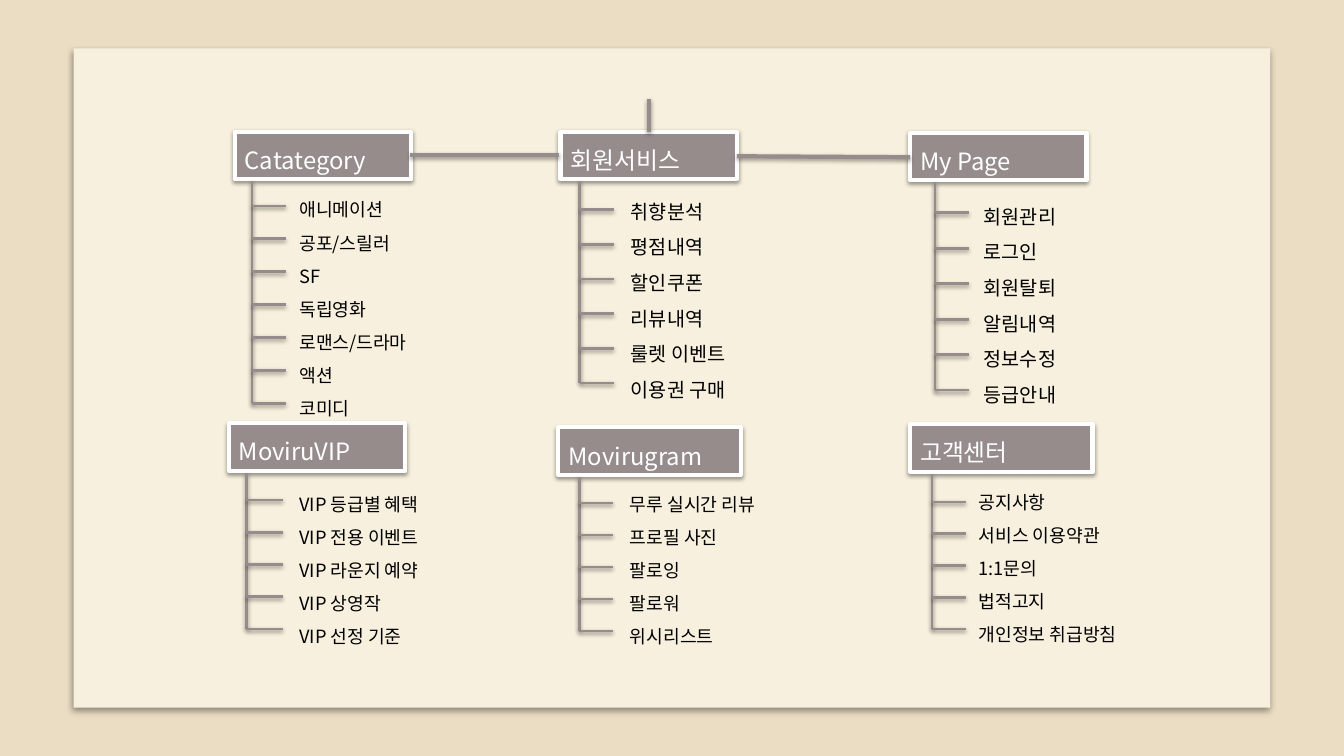
from lxml import etree
from pptx import Presentation
from pptx.dml.color import RGBColor
from pptx.enum.shapes import MSO_CONNECTOR, MSO_SHAPE
from pptx.enum.text import MSO_ANCHOR, PP_ALIGN
from pptx.oxml.ns import qn
from pptx.util import Emu, Inches, Pt

RECT, STRAIGHT = MSO_SHAPE.RECTANGLE, MSO_CONNECTOR.STRAIGHT
TOP, BOTTOM, LEFT = MSO_ANCHOR.TOP, MSO_ANCHOR.BOTTOM, PP_ALIGN.LEFT

WIDTH, HEIGHT = Inches(13.33), Inches(7.5)
COLS, ROWS = 40, 22.5
SAND, CREAM, TAUPE, WHITE, BLACK = "EBDDC3", "F7F0DE", "968C8C", "FFFFFF", "000000"
FONT = "Noto Sans CJK KR"
HEAD_SIZE, HEAD_HEIGHT = 17, 1.41
LEADING = 1.82  # line pitch of the lists, in font sizes


def rgb(value):
    """Turn a hex string into a colour."""
    return RGBColor.from_string(value)


def add_shadow(sp, opacity, blur, distance):
    """Give a shape or connector a soft shadow straight below it."""
    effects = etree.SubElement(sp._element.spPr, qn("a:effectLst"))
    outer = etree.SubElement(effects, qn("a:outerShdw"), blurRad=str(Pt(blur)),
                             dist=str(Pt(distance)), dir="5400000",
                             algn="ctr", rotWithShape="0")
    color = etree.SubElement(outer, qn("a:srgbClr"), val=BLACK)
    etree.SubElement(color, qn("a:alpha"), val=str(opacity * 1000))


class SiteMap:
    """Holds the style and the current slide, measured in grid columns and rows."""

    def __init__(self, prs):
        """Add a blank slide with a sand background."""
        self.s = prs.slides.add_slide(prs.slide_layouts[6])
        fill = self.s.background.fill
        fill.solid()
        fill.fore_color.rgb = rgb(SAND)

    def grid(self, *lengths):
        """Convert alternating column and row counts to slide lengths."""
        units = (WIDTH / COLS, HEIGHT / ROWS)
        return [Emu(round(n * units[i % 2])) for i, n in enumerate(lengths)]

    def rect(self, place, fill, outline=None, shadow=(38, 3.1, 1.6)):
        """Draw a shadowed rectangle."""
        sp = self.s.shapes.add_shape(RECT, *self.grid(*place))
        sp.fill.solid()
        sp.fill.fore_color.rgb = rgb(fill)
        if outline:
            sp.line.color.rgb = rgb(outline)
            sp.line.width = Pt(3)
        else:
            sp.line.fill.background()
        add_shadow(sp, *shadow)
        return sp

    def line(self, x1, y1, x2, y2, width=2):
        """Draw a straight shadowed line."""
        sp = self.s.shapes.add_connector(STRAIGHT, *self.grid(x1, y1, x2, y2))
        sp.line.color.rgb = rgb(TAUPE)
        sp.line.width = Pt(width)
        add_shadow(sp, 38, 3.1, 1.6)

    def run(self, p, text, size, color):
        """Add one run to a paragraph."""
        p.alignment = LEFT
        r = p.add_run()
        r.text = text
        r.font.name, r.font.size = FONT, Pt(size)
        r.font.color.rgb = rgb(color)
        etree.SubElement(r._r.get_or_add_rPr(), qn("a:ea"), typeface=FONT)

    def header(self, x, y, width, title):
        """Draw a titled box."""
        sp = self.rect((x, y, width, HEAD_HEIGHT), TAUPE, WHITE)
        tf = sp.text_frame
        tf.word_wrap, tf.vertical_anchor = True, BOTTOM
        self.run(tf.paragraphs[0], title, HEAD_SIZE, WHITE)

    def items(self, x, y, width, size, lines):
        """Set a list of lines at an even pitch."""
        height = len(lines) * size * LEADING / 24
        tf = self.s.shapes.add_textbox(*self.grid(x, y, width, height)).text_frame
        tf.word_wrap, tf.vertical_anchor = True, TOP
        tf.margin_left = tf.margin_right = tf.margin_top = tf.margin_bottom = 0
        for i, text in enumerate(lines):
            p = tf.add_paragraph() if i else tf.paragraphs[0]
            p.line_spacing = Pt(size * LEADING)
            self.run(p, text, size, BLACK)

    def trunk(self, x, top, first, last, count, tick):
        """Draw a vertical line with evenly spaced ticks to its right."""
        self.line(x, top, x, last)
        for i in range(count):
            y = first + (last - first) * i / (count - 1)
            self.line(x, y, x + tick, y)


# header (x, y, width), title, trunk (x, first tick, last tick, tick length),
# list (x, y, width, font size), list lines
BRANCHES = [
    ((6.99, 3.93, 5.25), "Catategory", (7.5, 6.13, 12, 1), (8.91, 5.58, 4.2, 13),
     ["애니메이션", "공포/스릴러", "SF", "독립영화", "로맨스/드라마", "액션", "코미디"]),
    ((16.68, 3.93, 5.25), "회원서비스", (17.26, 6.24, 11.4, 1), (18.78, 5.58, 5.6, 14),
     ["취향분석", "평점내역", "할인쿠폰", "리뷰내역", "룰렛 이벤트", "이용권 구매"]),
    ((27.09, 3.96, 5.25), "My Page", (27.83, 6.33, 11.61, 1), (29.28, 5.73, 6.1, 14),
     ["회원관리", "로그인", "회원탈퇴", "알림내역", "정보수정", "등급안내"]),
    ((6.81, 12.6, 5.25), "MoviruVIP", (7.33, 14.88, 18.72, 1.08), (8.91, 14.34, 5.5, 13),
     ["VIP 등급별 혜택", "VIP 전용 이벤트", "VIP 라운지 예약", "VIP 상영작", "VIP 선정 기준"]),
    ((16.62, 12.72, 5.43), "Movirugram", (17.24, 14.97, 18.78, 1), (18.75, 14.34, 4.6, 13),
     ["무루 실시간 리뷰", "프로필 사진", "팔로잉", "팔로워", "위시리스트"]),
    ((27.09, 12.63, 5.43), "고객센터", (27.74, 14.94, 18.72, 1), (29.13, 14.28, 6.1, 13),
     ["공지사항", "서비스 이용약관", "1:1문의", "법적고지", "개인정보 취급방침"]),
]
# x1, y1, x2, y2 of the lines that join the top headers
LINKS = [(12.21, 4.62, 16.65, 4.62), (21.93, 4.65, 27.09, 4.68), (19.32, 2.94, 19.32, 3.93)]

prs = Presentation()
prs.slide_width, prs.slide_height = WIDTH, HEIGHT
site = SiteMap(prs)
site.rect((2.19, 1.44, 35.61, 19.62), CREAM, shadow=(40, 4, 3))
for head, title, (x, first, last, tick), place, lines in BRANCHES:
    site.header(*head, title)
    site.items(*place, lines)
    site.trunk(x, head[1] + HEAD_HEIGHT + 0.06, first, last, len(lines), tick)
for link in LINKS:
    site.line(*link, width=3)
prs.save("out.pptx")
